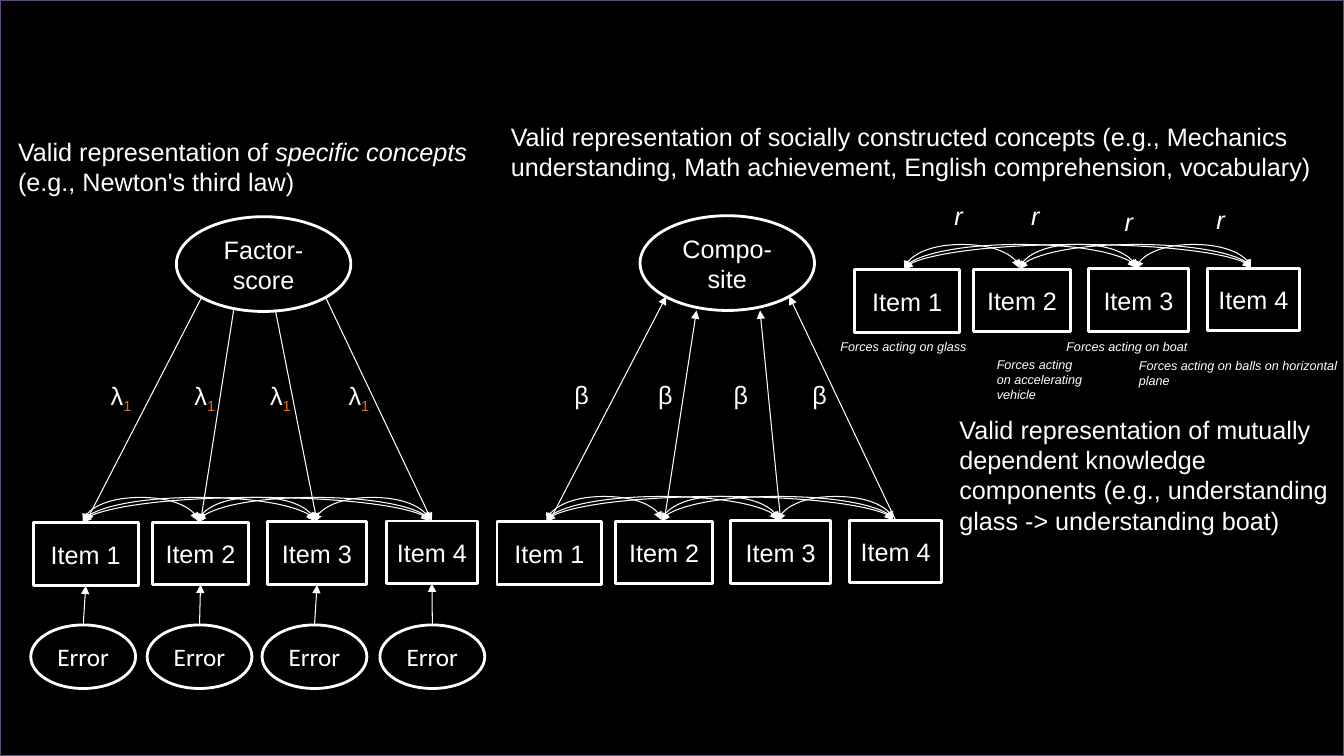
from itertools import combinations

from lxml.etree import SubElement
from pptx import Presentation
from pptx.dml.color import RGBColor
from pptx.enum.shapes import MSO_CONNECTOR as LINK, MSO_SHAPE as SHAPE
from pptx.enum.text import MSO_ANCHOR as ANCHOR, MSO_AUTO_SIZE as FIT, PP_ALIGN as ALIGN
from pptx.oxml.ns import qn
from pptx.util import Pt

color = RGBColor.from_string
WHITE, ORANGE, PURPLE, BLACK = "FFFFFF", "E46C0A", "604A7B", "000000"


def add_node(kind, left, top, width, height, text, font="Arial"):
    """Add an outlined box or ellipse with centred text."""
    node = slide.shapes.add_shape(kind, Pt(left), Pt(top), Pt(width), Pt(height))
    node.shadow.inherit = False
    node.fill.background()
    node.line.color.rgb = color(WHITE)
    node.line.width = Pt(2)
    frame = node.text_frame
    frame.word_wrap = True
    frame.vertical_anchor = ANCHOR.MIDDLE
    frame.paragraphs[0].alignment = ALIGN.CENTER
    run = frame.paragraphs[0].add_run()
    run.text = text
    run.font.name = font
    run.font.size = Pt(18)
    run.font.color.rgb = color(WHITE)
    return node


def add_arrow(kind, x1, y1, x2, y2, ends=("tailEnd",)):
    """Add a thin white connector with triangles at the given ends."""
    arrow = slide.shapes.add_connector(kind, Pt(x1), Pt(y1), Pt(x2), Pt(y2))
    arrow.line.color.rgb = color(WHITE)
    arrow.line.width = Pt(0.75)
    for end in ends:
        SubElement(arrow.line._get_or_add_ln(), qn("a:" + end), type="triangle")
    SubElement(arrow._element.spPr, qn("a:effectLst"))
    return arrow


deck = Presentation()
deck.slide_width, deck.slide_height = Pt(960), Pt(540)
slide = deck.slides.add_slide(deck.slide_layouts[6])
slide.background.fill.solid()
slide.background.fill.fore_color.rgb = color(BLACK)

# Slide border
border = slide.shapes.add_shape(SHAPE.RECTANGLE, 0, 0, deck.slide_width, deck.slide_height)
border.shadow.inherit = False
border.fill.background()
border.line.color.rgb = color(PURPLE)
border.line.width = Pt(2)

# Three item rows, each with curved correlations between all pairs
ITEM_BOXES = [(23.8, 373, 74.9, 45.4), (108.7, 373, 69.1, 44.6),
              (190.8, 372.4, 71.3, 45.4), (275.8, 372.2, 65.5, 44.6)]
CURVE_ENDS = [59.2, 141.4, 224.6, 306.7]
CURVE_Y = 372.7
CURVE_RISE = 18
MODEL_ORIGINS = [(0, 0), (331.2, -0.7), (586.8, -180.7)]  # factor, composite, network

item_rows = []
for dx, dy in MODEL_ORIGINS:
    item_rows.append([
        add_node(SHAPE.RECTANGLE, left + dx, top + dy, width, height, f"Item {number}")
        for number, (left, top, width, height) in enumerate(ITEM_BOXES, 1)])
    for start, end in combinations(CURVE_ENDS, 2):
        # Drawn one point wide and upright, then turned to arch over the items
        middle, half = (start + end) / 2 + dx, (end - start) / 2
        y = CURVE_Y + dy
        curve = add_arrow(LINK.CURVE, middle - 0.5, y - half, middle + 0.5, y + half,
                          ("headEnd", "tailEnd"))
        turn = curve._element.spPr.find(qn("a:xfrm"))
        for key, value in (("rot", "5400000"), ("flipH", "1"), ("flipV", "1")):
            turn.set(key, value)
        geometry = curve._element.spPr.find(qn("a:prstGeom"))
        SubElement(geometry.find(qn("a:avLst")), qn("a:gd"), name="adj1",
                   fmla=f"val {CURVE_RISE * 100000}")
factor_items, composite_items, network_items = item_rows

# Factor model: loadings run from the score down to the items
add_node(SHAPE.OVAL, 126, 154.8, 124.6, 67.7, "Factor-score")
for item, (x, y) in zip(factor_items, [(144, 212.4), (167, 221), (196.6, 221), (232.6, 212.4)]):
    add_arrow(LINK.STRAIGHT, x, y, x, y + 100).end_connect(item, 0)

# Measurement errors
for item, left in zip(factor_items, [22, 105.1, 187.2, 271.4]):
    error = add_node(SHAPE.OVAL, left, 446.4, 74.9, 45.4, "Error", "Calibri")
    effect = add_arrow(LINK.STRAIGHT, left, 446, left, 418)
    effect.begin_connect(error, 0)
    effect.end_connect(item, 2)

# Composite model: weights run from the items up to the score
add_node(SHAPE.OVAL, 457.2, 154.1, 124.6, 67.7, "Compo-site")
for item, (x, y) in zip(composite_items,
                        [(475.9, 211.7), (497.5, 221.8), (542.9, 221.8), (563.8, 211.7)]):
    add_arrow(LINK.STRAIGHT, x, y + 100, x, y).begin_connect(item, 0)

# Texts: left, top, width, height, size, paragraphs of (text, style) runs
texts = []
for left in (72, 131.8, 185.8, 241.9):
    texts.append((left, 267.8, 56.2, 28.8, 18, [[("λ", ""), ("1", "sub")]]))
    texts.append((left + 331.2, 267.1, 56.2, 28.8, 18, [[("β", "")]]))
for left, top in [(674.6, 139.7), (729.4, 139.7), (796.3, 144), (861.8, 142.6)]:
    texts.append((left, top, 56.2, 28.8, 18, [[("r", "italic")]]))
for left, top, width, height, topic in [
        (593.3, 238.3, 225.4, 18, "glass"),
        (704.9, 251.3, 77.8, 40.3, "accelerating vehicle"),
        (754.6, 238.3, 120.2, 18, "boat"),
        (806.4, 252, 174.2, 28.8, "balls on horizontal plane")]:
    texts.append((left, top, width, height, 9, [[(f"Forces acting on {topic}", "italic")]]))
texts += [
    (5.8, 93.6, 407.5, 51.1, 18,
     [[("Valid representation of ", ""), ("specific concepts", "italic")],
      [("(e.g., Newton's third law)", "")]]),
    (357.8, 82.8, 640.8, 51.1, 18,
     [[("Valid representation of socially constructed concepts (e.g., Mechanics "
        "understanding, Math achievement, English comprehension, vocabulary)", "")]]),
    (678.2, 292.3, 281.5, 94.3, 18,
     [[("Valid representation of mutually dependent knowledge components "
        "(e.g., understanding glass -> understanding boat)", "")]]),
]

for left, top, width, height, size, lines in texts:
    frame = slide.shapes.add_textbox(Pt(left), Pt(top), Pt(width), Pt(height)).text_frame
    frame.word_wrap = True
    frame.auto_size = FIT.SHAPE_TO_FIT_TEXT
    for index, line in enumerate(lines):
        paragraph = frame.add_paragraph() if index else frame.paragraphs[0]
        for words, style in line:
            run = paragraph.add_run()
            run.text = words
            run.font.name = "Arial"
            run.font.size = Pt(size)
            run.font.italic = style == "italic"
            run.font.color.rgb = color(ORANGE if style == "sub" else WHITE)
            if style == "sub":
                run.font._element.set("baseline", "-25000")

deck.save("out.pptx")
